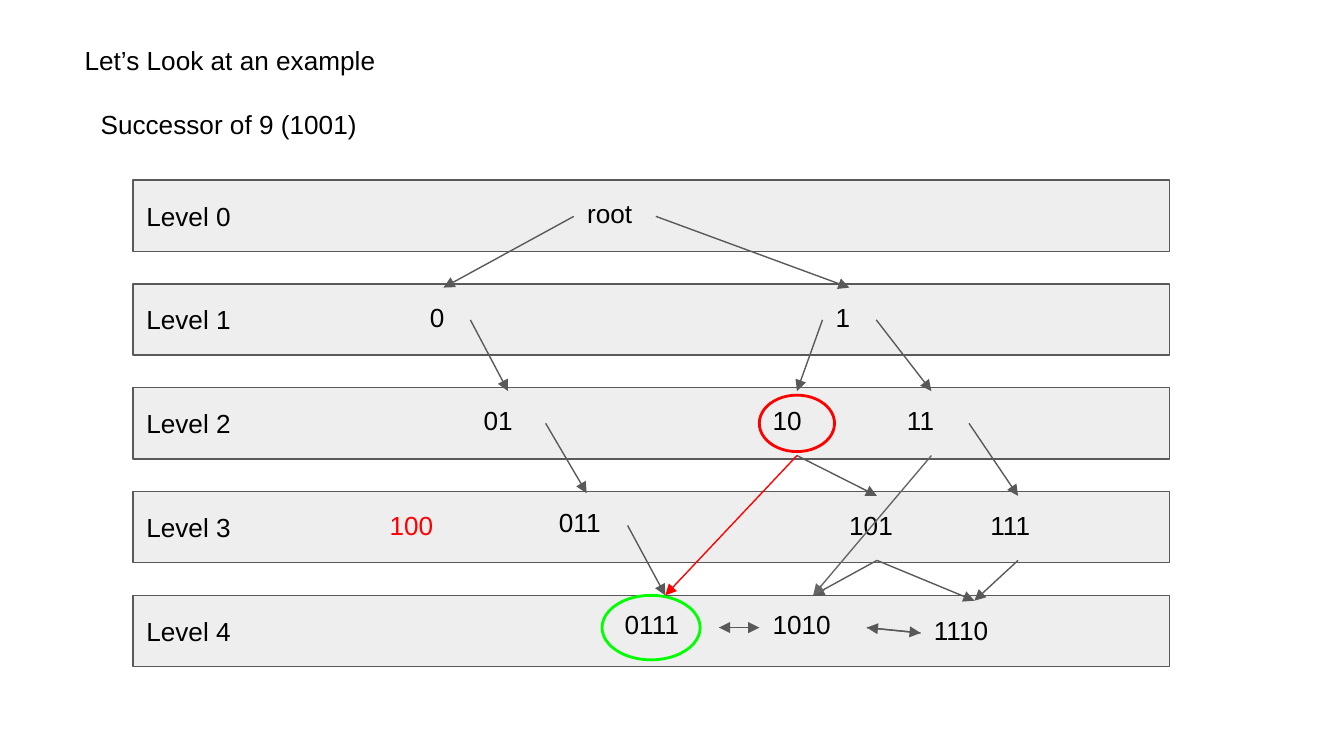
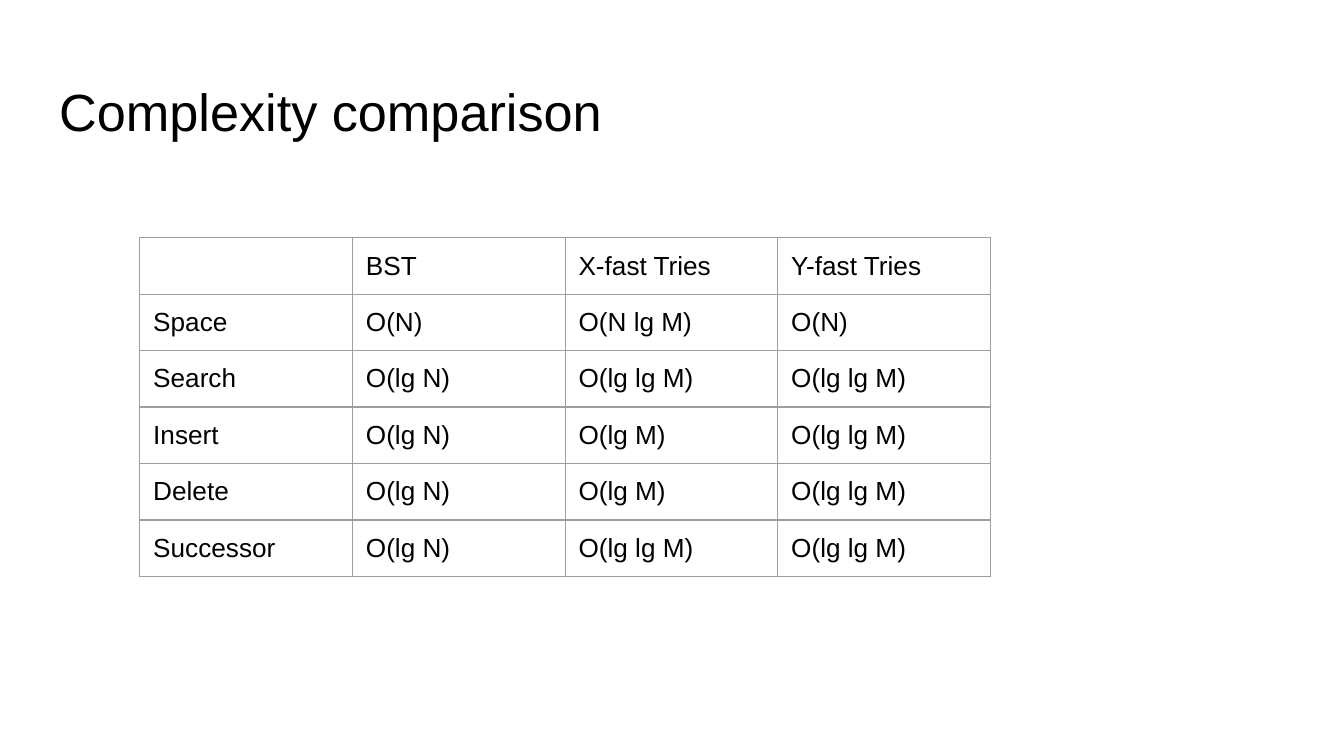
from lxml.etree import SubElement
from pptx import Presentation
from pptx.dml.color import RGBColor
from pptx.enum.shapes import MSO_CONNECTOR, MSO_SHAPE
from pptx.enum.text import MSO_ANCHOR, MSO_AUTO_SIZE, PP_ALIGN
from pptx.oxml import parse_xml
from pptx.oxml.ns import nsdecls, qn
from pptx.util import Inches, Pt

FONT = "Arial"
BODY_SIZE, TITLE_SIZE = 14, 28
BLACK, GREY, LIGHT, MID = "000000", "595959", "EEEEEE", "666666"
RED, GREEN, TABLE_LINE = "FF0000", "00FF00", "9E9E9E"
THIN, THICK = 0.75, 1.5
MARGIN = 0.1

# Connection sites, in the order a rectangle numbers them
TOP, LEFT, BOTTOM, RIGHT = range(4)

LEVELS = ["Level 0", "Level 1", "Level 2", "Level 3", "Level 4"]

# Trie nodes: left, top and width relative to the diagram
NODE_HEIGHT = 0.48
NODES = {
    "root": (3.28, 0.03, 0.61),
    "0": (2.11, 0.8, 0.4),
    "1": (5.13, 0.8, 0.4),
    "01": (2.51, 1.57, 0.56),
    "10": (4.66, 1.57, 0.56),
    "11": (5.66, 1.57, 0.56),
    "100": (1.81, 2.35, 0.61),
    "011": (3.07, 2.33, 0.61),
    "101": (5.23, 2.35, 0.61),
    "111": (6.28, 2.35, 0.61),
    "0111": (3.56, 3.09, 0.8),
    "1010": (4.66, 3.09, 0.8),
    "1110": (5.86, 3.13, 0.8),
}
# Arrows down the trie: start node, site it leaves from, end node, colour
BRANCHES = [
    ("root", LEFT, "0", GREY),
    ("0", RIGHT, "01", GREY),
    ("01", RIGHT, "011", GREY),
    ("011", RIGHT, "0111", GREY),
    ("root", RIGHT, "1", GREY),
    ("1", RIGHT, "11", GREY),
    ("11", RIGHT, "111", GREY),
    ("111", BOTTOM, "1110", GREY),
    ("1", LEFT, "10", GREY),
    ("10", BOTTOM, "101", GREY),
    ("101", BOTTOM, "1010", GREY),
    ("10", BOTTOM, "0111", RED),
    ("101", BOTTOM, "1110", GREY),
    ("11", BOTTOM, "1010", MID),
]
LEAVES = ["0111", "1010", "1110"]

COMPLEXITY = [
    ["", "BST", "X-fast Tries", "Y-fast Tries"],
    ["Space", "O(N)", "O(N lg M)", "O(N)"],
    ["Search", "O(lg N)", "O(lg lg M)", "O(lg lg M)"],
    ["Insert", "O(lg N)", "O(lg M)", "O(lg lg M)"],
    ["Delete", "O(lg N)", "O(lg M)", "O(lg lg M)"],
    ["Successor", "O(lg N)", "O(lg lg M)", "O(lg lg M)"],
]


def colour(value):
    """Turn a hex string into a colour."""
    return RGBColor.from_string(value)


def write(frame, text, size=BODY_SIZE, ink=BLACK, anchor=MSO_ANCHOR.TOP):
    """Put one left-aligned line of text in a frame."""
    frame.text = text
    frame.word_wrap = True
    frame.auto_size = MSO_AUTO_SIZE.NONE
    frame.vertical_anchor = anchor
    frame.margin_left = frame.margin_right = Inches(MARGIN)
    frame.margin_top = frame.margin_bottom = Inches(MARGIN)
    style(frame.paragraphs[0], size, ink)


def style(para, size=BODY_SIZE, ink=BLACK):
    """Align a paragraph left and format its runs."""
    para.alignment = PP_ALIGN.LEFT
    for span in para.runs:
        span.font.name = FONT
        span.font.size = Pt(size)
        span.font.color.rgb = colour(ink)


def add_page(deck, title, box, size):
    """Add a title-only slide with its title placed in the box."""
    page = deck.slides.add_slide(deck.slide_layouts[5])
    heading = page.shapes.title
    heading.left, heading.top, heading.width, heading.height = map(Inches, box)
    write(heading.text_frame, title, size)
    return page


def add_label(page, text, box, ink=BLACK):
    """Add a text box and return it."""
    label = page.shapes.add_textbox(*map(Inches, box))
    write(label.text_frame, text, ink=ink)
    return label


def add_outline(page, kind, box, line, weight, fill=None):
    """Add a preset shape with a line and, if given, a fill."""
    shape = page.shapes.add_shape(kind, *map(Inches, box))
    shape.shadow.inherit = False
    shape.line.color.rgb = colour(line)
    shape.line.width = Pt(weight)
    if fill:
        shape.fill.solid()
        shape.fill.fore_color.rgb = colour(fill)
    else:
        shape.fill.background()
    return shape


def add_arrow(page, start, start_site, end, end_site, ink):
    """Glue an arrow between the sites of two shapes."""
    arrow = page.shapes.add_connector(MSO_CONNECTOR.STRAIGHT, 0, 0, 0, 0)
    arrow.begin_connect(start, start_site)
    arrow.end_connect(end, end_site)
    arrow.line.color.rgb = colour(ink)
    arrow.line.width = Pt(THIN)
    SubElement(arrow.line._get_or_add_ln(), qn("a:tailEnd"), type="triangle")
    SubElement(arrow._element.spPr, qn("a:effectLst"))


def add_levels(page, box):
    """Spread one band per trie level evenly over the box."""
    left, top, width, height = box
    band_height = 0.53
    pitch = (height - band_height) / (len(LEVELS) - 1)
    for index, name in enumerate(LEVELS):
        place = (left, top + index * pitch, width, band_height)
        band = add_outline(page, MSO_SHAPE.RECTANGLE, place, GREY, THIN, LIGHT)
        write(band.text_frame, name, anchor=MSO_ANCHOR.MIDDLE)


def add_trie(page, box):
    """Draw the levels, nodes, arrows and search marks in the box."""
    left, top = box[:2]
    add_levels(page, box)
    nodes = {}
    for name, (x, y, width) in NODES.items():
        place = (left + x, top + y, width, NODE_HEIGHT)
        nodes[name] = add_label(page, name, place, RED if name == "100" else BLACK)
    for start, site, end, ink in BRANCHES:
        add_arrow(page, nodes[start], site, nodes[end], TOP, ink)
    for before, after in zip(LEAVES, LEAVES[1:]):
        add_arrow(page, nodes[before], RIGHT, nodes[after], LEFT, GREY)
        add_arrow(page, nodes[after], LEFT, nodes[before], RIGHT, GREY)
    last_match = (left + 4.66, top + 1.6, 0.56, 0.42)
    found_leaf = (left + 3.49, top + 3.09, 0.73, 0.48)
    add_outline(page, MSO_SHAPE.OVAL, last_match, RED, THICK)
    add_outline(page, MSO_SHAPE.OVAL, found_leaf, GREEN, THICK)


def format_cell(cell, text):
    """Fill in one table cell and draw its four borders."""
    cell.text = text
    cell.margin_left = cell.margin_right = Inches(MARGIN)
    cell.margin_top = cell.margin_bottom = Inches(MARGIN)
    cell.fill.background()
    para = cell.text_frame.paragraphs[0]
    style(para)
    if not text:
        ending = SubElement(para._p, qn("a:endParaRPr"), sz=str(BODY_SIZE * 100))
        SubElement(ending, qn("a:latin"), typeface=FONT)
    properties = cell._tc.get_or_add_tcPr()
    for index, side in enumerate(["lnL", "lnR", "lnT", "lnB"]):
        border = parse_xml(
            f'<a:{side} {nsdecls("a")} w="{Pt(THIN)}"><a:solidFill>'
            f'<a:srgbClr val="{TABLE_LINE}"/></a:solidFill></a:{side}>')
        properties.insert(index, border)


def add_grid(page, rows, box):
    """Add a table of equal rows and columns that fills the box."""
    frame = page.shapes.add_table(len(rows), len(rows[0]), *map(Inches, box))
    table = frame.table
    table.first_row = table.horz_banding = False
    for row_index, row in enumerate(rows):
        for column_index, text in enumerate(row):
            format_cell(table.cell(row_index, column_index), text)


def build_example(deck):
    """Build the successor search slide."""
    page = add_page(deck, "Let’s Look at an example",
                    (0.53, 0.23, 6.25, 0.73), BODY_SIZE)
    add_label(page, "Successor of 9 (1001)", (0.65, 0.71, 6.25, 0.73))
    add_trie(page, (0.99, 1.34, 7.71, 3.62))


def build_comparison(deck):
    """Build the complexity table slide."""
    page = add_page(deck, "Complexity comparison",
                    (0.34, 0.49, 9.32, 0.63), TITLE_SIZE)
    add_grid(page, COMPLEXITY, (1.04, 1.77, 6.33, 2.52))


deck = Presentation()
deck.slide_width = Inches(10)
deck.slide_height = Inches(10 * 9 / 16)
build_example(deck)
build_comparison(deck)
deck.save("out.pptx")
